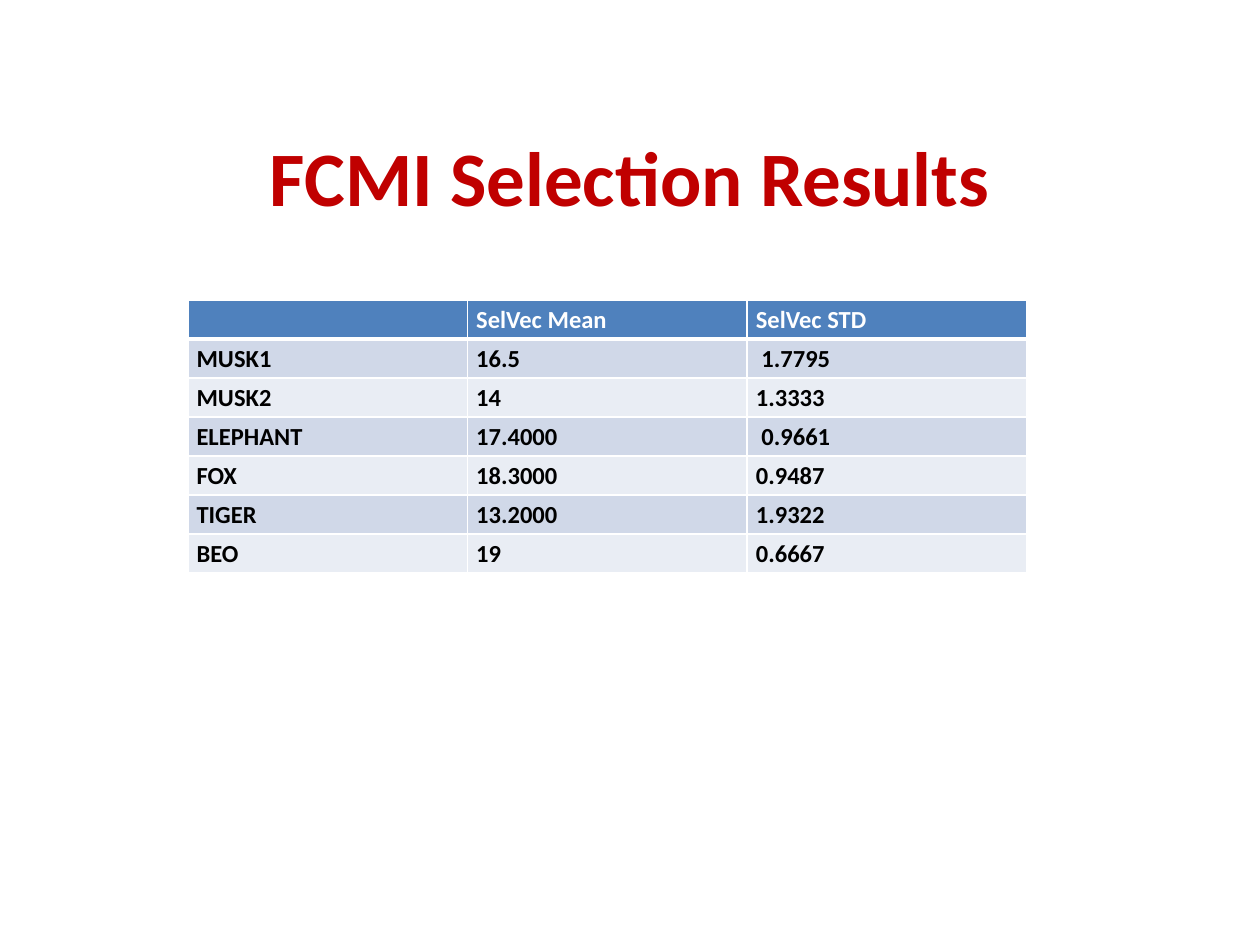
from dataclasses import dataclass

from lxml.etree import SubElement
from pptx import Presentation
from pptx.dml.color import RGBColor
from pptx.enum.text import MSO_ANCHOR, PP_ALIGN
from pptx.oxml.ns import qn
from pptx.util import Inches, Pt


@dataclass(frozen=True)
class Theme:
    font: str = "Calibri"
    title: str = "C00000"
    header: str = "4F81BD"
    bands: tuple = ("D0D8E8", "E9EDF4")
    light: str = "FFFFFF"
    dark: str = "000000"
    title_size: int = 44
    cell_size: int = 14
    border: int = 1
    header_border: int = 3


class SlideBuilder:
    """Adds themed elements to one slide."""

    def __init__(self, slide, theme):
        self.s = slide
        self.theme = theme

    def style(self, p, size, color):
        p.font.name = self.theme.font
        p.font.size = Pt(size)
        p.font.bold = True
        p.font.color.rgb = RGBColor.from_string(color)

    def title(self, text, left, top, width, height):
        sp = self.s.shapes.add_textbox(Inches(left), Inches(top), Inches(width), Inches(height))
        tf = sp.text_frame
        tf.word_wrap = True
        tf.vertical_anchor = MSO_ANCHOR.TOP
        tf.margin_top = Inches(0.08)
        p = tf.paragraphs[0]
        p.text = text
        p.alignment = PP_ALIGN.CENTER
        self.style(p, self.theme.title_size, self.theme.title)

    def borders(self, cell, top, bottom):
        tc_pr = cell._tc.get_or_add_tcPr()
        widths = {"L": self.theme.border, "R": self.theme.border, "T": top, "B": bottom}
        for i, (side, width) in enumerate(widths.items()):
            ln = tc_pr.makeelement(qn(f"a:ln{side}"), {"w": str(Pt(width))})
            fill = SubElement(ln, qn("a:solidFill"))
            SubElement(fill, qn("a:srgbClr"), val=self.theme.light)
            tc_pr.insert(i, ln)

    def cell(self, cell, text, row):
        t = self.theme
        cell.margin_left = cell.margin_right = Inches(0.07)
        cell.margin_top, cell.margin_bottom = Inches(0.04), Inches(0.03)
        cell.fill.solid()
        fill = t.bands[(row - 1) % 2] if row else t.header
        cell.fill.fore_color.rgb = RGBColor.from_string(fill)
        p = cell.text_frame.paragraphs[0]
        p.text = text
        self.style(p, t.cell_size, t.dark if row else t.light)
        if not text:
            SubElement(p._p, qn("a:endParaRPr"), sz=str(t.cell_size * 100))
        self.borders(
            cell,
            t.header_border if row == 1 else t.border,
            t.border if row else t.header_border,
        )

    def table(self, rows, left, top, col_width, row_height):
        n, m = len(rows), len(rows[0])
        table = self.s.shapes.add_table(
            n, m, Inches(left), Inches(top), Inches(m * col_width), Inches(n * row_height)
        ).table
        for i, row in enumerate(rows):
            for j, text in enumerate(row):
                self.cell(table.cell(i, j), text, i)


RESULTS = [
    ("", "SelVec Mean", "SelVec STD"),
    ("MUSK1", "16.5", " 1.7795"),
    ("MUSK2", "14", "1.3333"),
    ("ELEPHANT", "17.4000", " 0.9661"),
    ("FOX", "18.3000", "0.9487"),
    ("TIGER", "13.2000", "1.9322"),
    ("BEO", "19", "0.6667"),
]


def main():
    prs = Presentation()
    prs.slide_width, prs.slide_height = Inches(10), Inches(7.5)
    s = SlideBuilder(prs.slides.add_slide(prs.slide_layouts[6]), Theme())
    s.title("FCMI Selection Results", 0.69, 0.95, 8.62, 1.09)
    s.table(RESULTS, 1.49, 2.38, 2.22, 0.31)
    prs.save("out.pptx")


if __name__ == "__main__":
    main()
